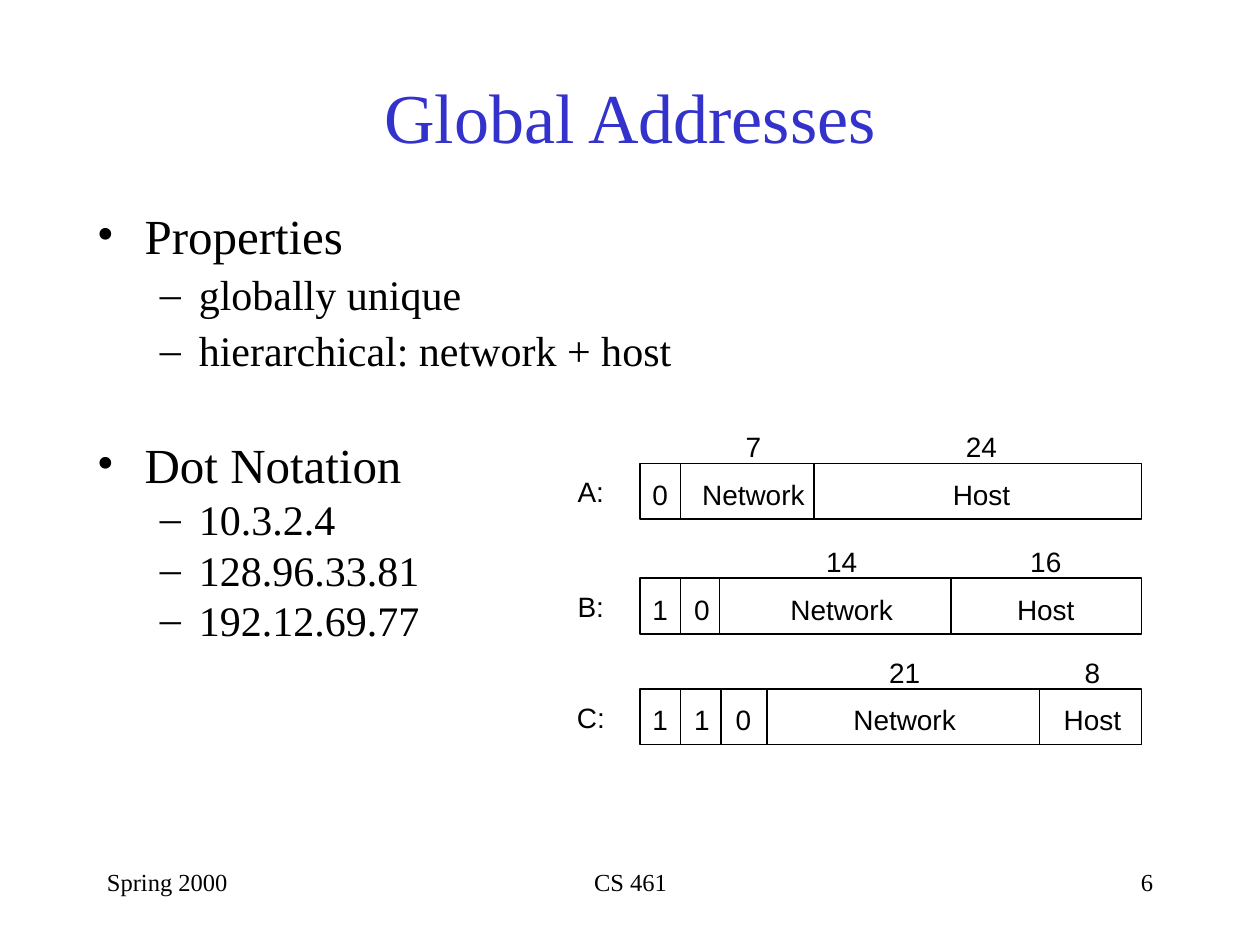
import pptx
import pptx.dml.color
import pptx.enum.shapes
import pptx.enum.text
import pptx.oxml
import pptx.oxml.ns
import pptx.util

PX = 9144  # EMU per px, 100 px to the inch
BLACK = "000000"
SERIF, SANS = "Times New Roman", "Arial"
ALIGN = pptx.enum.text.PP_ALIGN
ANCHOR = pptx.enum.text.MSO_ANCHOR
LABEL_WIDTHS = {"Network": 84, "Host": 48}
DIGIT_WIDTH = 13


def px(length):
    return pptx.util.Emu(round(length * PX))


def color(value):
    return pptx.dml.color.RGBColor.from_string(value)


def add_span(para, text, size, font, fill=BLACK):
    span = para.add_run()
    span.text = text
    span.font.size = pptx.util.Pt(size)
    span.font.name = font
    span.font.color.rgb = color(fill)


def add_box(page, left, top, width, height, inset=(10, 5), wrap=True):
    frame = page.shapes.add_textbox(px(left), px(top), px(width), px(height)).text_frame
    frame.word_wrap = wrap
    frame.margin_left = frame.margin_right = px(inset[0])
    frame.margin_top = frame.margin_bottom = px(inset[1])
    return frame


def add_title(page, left, top, width, height, text):
    frame = add_box(page, left, top, width, height)
    frame.vertical_anchor = ANCHOR.MIDDLE
    para = frame.paragraphs[0]
    para.alignment = ALIGN.CENTER
    add_span(para, text, 40, SERIF, "3333CC")


def set_bullet(para, mark, margin, hanging):
    props = para._p.get_or_add_pPr()
    props.set("marL", str(px(margin)))
    props.set("indent", str(-px(hanging)))
    namespace = pptx.oxml.ns.nsdecls("a")
    for tag in (f'buFont {namespace} typeface="{SERIF}"',
                f'buChar {namespace} char="{mark}"'):
        props.append(pptx.oxml.parse_xml(f"<a:{tag}/>"))


def add_outline(page, left, top, width, height, items):
    """Items are (level, text, line spacing, points before)."""
    frame = add_box(page, left, top, width, height)
    styles = [("•", 38, 38, 28), ("–", 81, 31, 24)]
    for number, (level, text, spacing, before) in enumerate(items):
        para = frame.add_paragraph() if number else frame.paragraphs[0]
        mark, margin, hanging, size = styles[level]
        para.level = level
        set_bullet(para, mark, margin, hanging)
        para.line_spacing = spacing
        para.space_before = pptx.util.Pt(before)
        add_span(para, text, size, SERIF)


def add_label(page, center, top, text):
    width = LABEL_WIDTHS.get(text, DIGIT_WIDTH * len(text))
    frame = add_box(page, center - width / 2, top, width, 27, (0, 0), wrap=False)
    para = frame.paragraphs[0]
    para.alignment = ALIGN.CENTER
    add_span(para, text, 16, SANS)


def add_divider(page, x, top, height):
    line = page.shapes.add_connector(
        pptx.enum.shapes.MSO_CONNECTOR.STRAIGHT,
        px(x), px(top), px(x), px(top + height))
    line.line.color.rgb = color(BLACK)
    line.line.width = pptx.util.Pt(1)
    line._element.spPr.append(
        pptx.oxml.parse_xml(f'<a:effectLst {pptx.oxml.ns.nsdecls("a")}/>'))


def add_address_class(page, left, top, width, height, name, prefix, dividers, fields):
    """Dividers are x offsets; fields are (centre offset, label, bit count)."""
    bar = page.shapes.add_shape(
        pptx.enum.shapes.MSO_SHAPE.RECTANGLE, px(left), px(top), px(width), px(height))
    bar.shadow.inherit = False
    bar.fill.background()
    bar.line.color.rgb = color(BLACK)
    bar.line.width = pptx.util.Pt(1)
    for offset in dividers:
        add_divider(page, left + offset, top, height)
    for index, bit in enumerate(prefix):
        add_label(page, left + 16 + 33 * index, top + 11, bit)
    for center, label, bits in fields:
        add_label(page, left + center, top + 11, label)
        add_label(page, left + center, top - 27, bits)
    add_label(page, left - 39, top + 9, name + ":")


def add_footer(page, left, top, width, height, text, alignment):
    para = add_box(page, left, top, width, height).paragraphs[0]
    para.alignment = alignment
    add_span(para, text, 14, SERIF)


def main():
    deck = pptx.Presentation()
    deck.slide_width, deck.slide_height = px(1000), px(750)
    page = deck.slides.add_slide(deck.slide_layouts[6])

    add_title(page, 75, 42, 850, 100, "Global Addresses")
    add_outline(page, 67, 167, 850, 450, [
        (0, "Properties", 0.8, 0),
        (1, "globally unique", 0.9, 6),
        (1, "hierarchical: network + host", 0.9, 6),
        (0, "Dot Notation", 0.8, 40),
        (1, "10.3.2.4", 0.8, 6),
        (1, "128.96.33.81", 0.8, 6),
        (1, "192.12.69.77", 0.8, 6),
    ])

    classes = [
        (368, "A", "0", [32, 138], [(90, "Network", "7"), (271, "Host", "24")]),
        (459, "B", "10", [32, 63, 247], [(160, "Network", "14"), (322, "Host", "16")]),
        (547, "C", "110", [32, 64, 101, 317], [(210, "Network", "21"), (359, "Host", "8")]),
    ]
    for top, *parts in classes:
        add_address_class(page, 508, top, 398, 44, *parts)

    add_footer(page, 75, 683, 208, 50, "Spring 2000", ALIGN.LEFT)
    add_footer(page, 342, 683, 317, 50, "CS 461", ALIGN.CENTER)
    add_footer(page, 717, 683, 208, 50, "6", ALIGN.RIGHT)
    deck.save("out.pptx")


if __name__ == "__main__":
    main()
